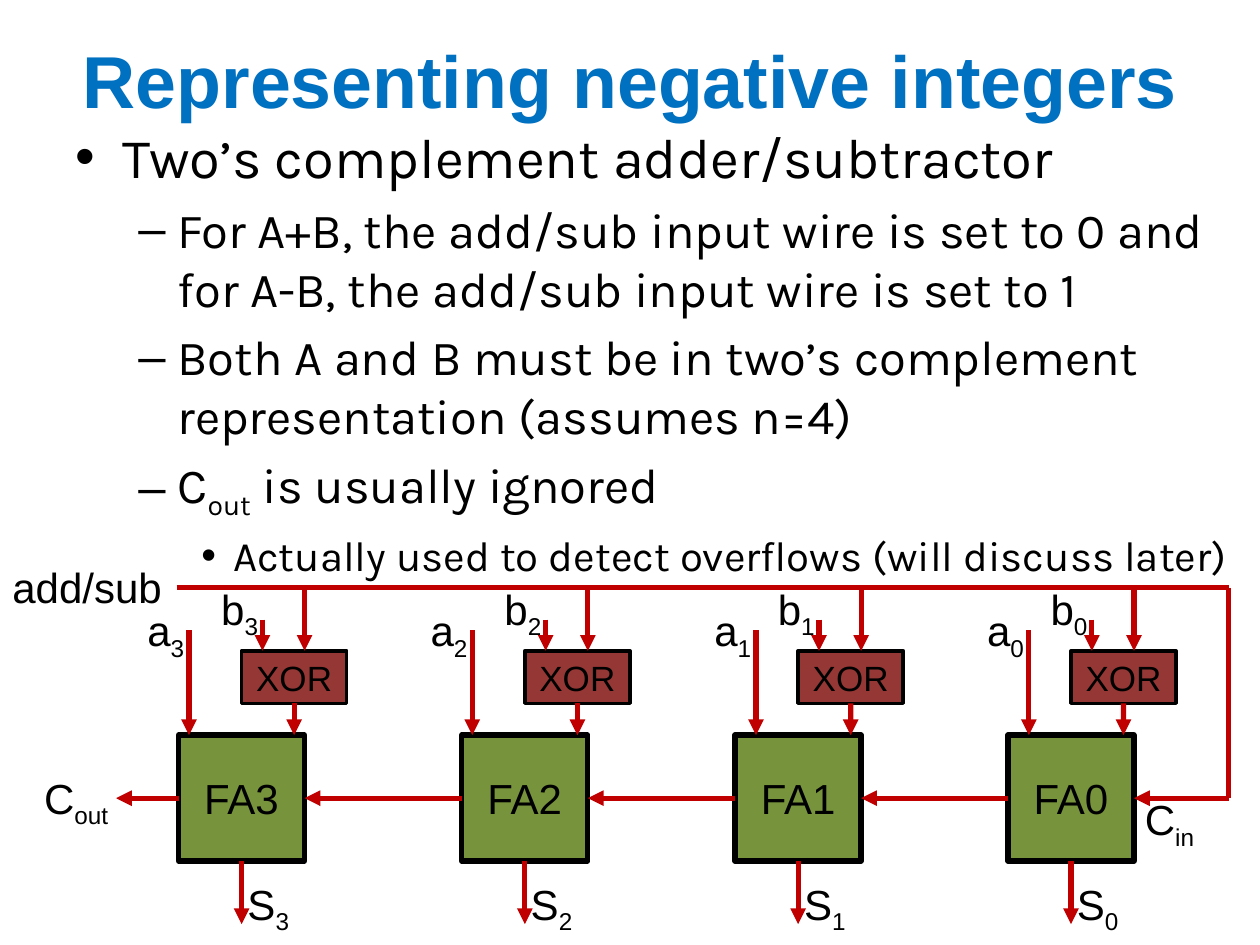
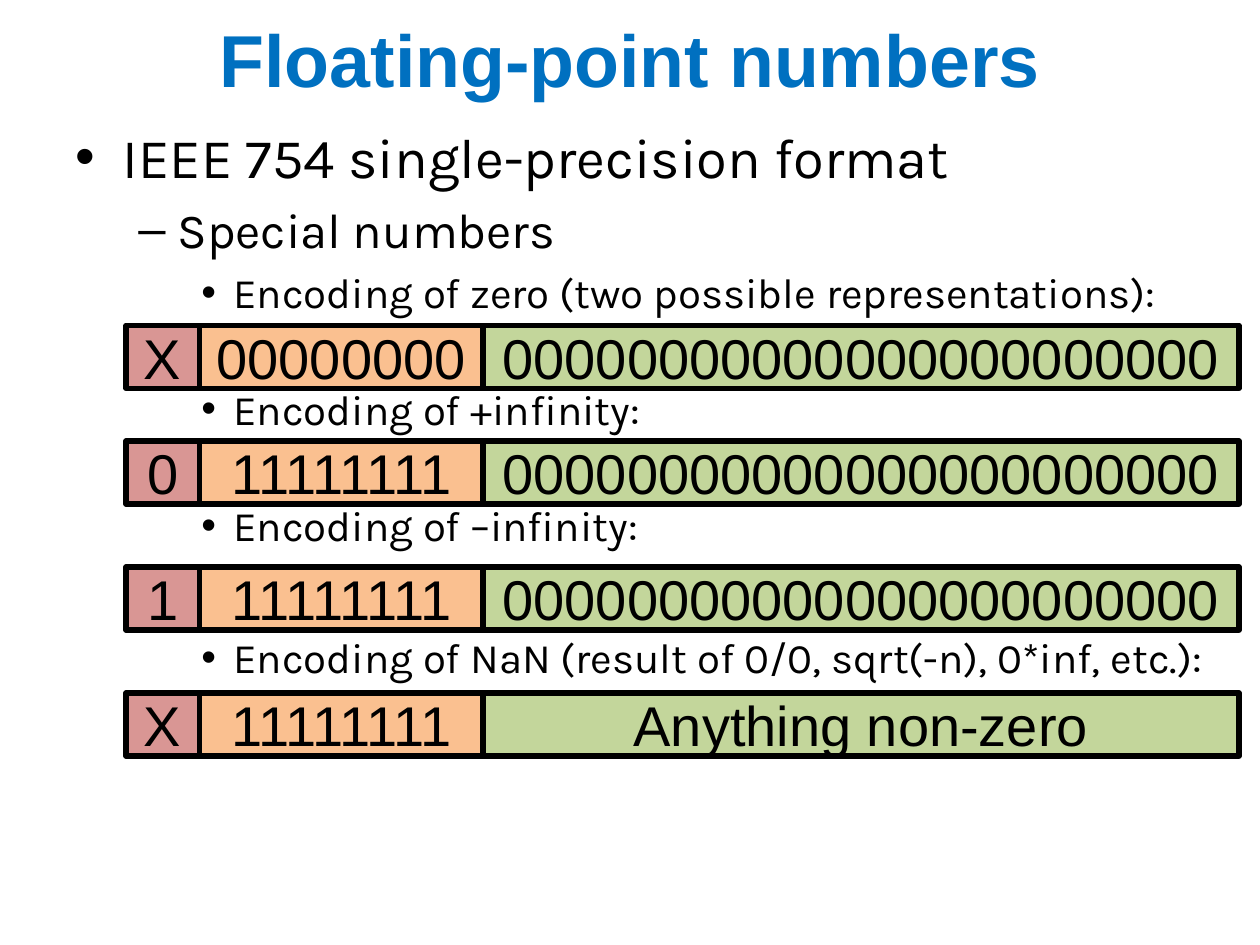
from lxml import etree
from pptx import Presentation
from pptx.dml.color import RGBColor
from pptx.enum.shapes import MSO_CONNECTOR, MSO_SHAPE
from pptx.enum.text import MSO_ANCHOR, MSO_AUTO_SIZE, PP_ALIGN
from pptx.oxml.ns import qn
from pptx.util import Cm, Pt

STRAIGHT = MSO_CONNECTOR.STRAIGHT
RECTANGLE = MSO_SHAPE.RECTANGLE
MIDDLE = MSO_ANCHOR.MIDDLE
CENTER = PP_ALIGN.CENTER
GROW = MSO_AUTO_SIZE.SHAPE_TO_FIT_TEXT
BOTTOM, LEFT, RIGHT = 2, 1, 3  # connection sites

rgb = RGBColor.from_string
BLACK, TITLE_BLUE, WIRE_RED = "000000", "0070C0", "C00000"
ADDER_GREEN, XOR_RED = "77933C", "953735"
SIGN_PINK, EXPONENT_ORANGE, FRACTION_GREEN = "D99694", "FAC090", "C3D69B"
LABEL_FONT, BODY_FONT = "Arial", "Karla"

# Per outline level: text size, left margin, hanging indent, bullet
LEVELS = [(32, 0.95, 0.95, "•"), (28, 2.06, 0.79, "–"), (24, 3.18, 0.64, "•")]


def add_text(slide, box, lines, size=24, font=LABEL_FONT, color=BLACK, bold=False,
             fill=None, outline=3, centered=False, wrap=True):
    """Add text, in a filled rectangle if fill is given.

    Each line is a list of strings; every second string is a subscript.
    """
    place = [Cm(length) for length in box]
    if fill:
        shape = slide.shapes.add_shape(RECTANGLE, *place)
        shape.shadow.inherit = False
        shape.fill.solid()
        shape.fill.fore_color.rgb = rgb(fill)
        shape.line.color.rgb = rgb(BLACK)
        shape.line.width = Pt(outline)
    else:
        shape = slide.shapes.add_textbox(*place)
    frame = shape.text_frame
    frame.word_wrap = wrap
    if not wrap:
        frame.auto_size = GROW
    if centered:
        frame.vertical_anchor = MIDDLE
    for number, parts in enumerate(lines):
        paragraph = frame.add_paragraph() if number else frame.paragraphs[0]
        if centered:
            paragraph.alignment = CENTER
        for position, part in enumerate(parts):
            run = paragraph.add_run()
            run.text = part
            run.font.size = Pt(size)
            run.font.name = font
            run.font.bold = bold
            run.font.color.rgb = rgb(color)
            if position % 2:
                run.font._element.set("baseline", "-25000")
    return shape


def add_wire(slide, x1, y1, x2, y2, arrow=True):
    wire = slide.shapes.add_connector(STRAIGHT, Cm(x1), Cm(y1), Cm(x2), Cm(y2))
    wire.line.color.rgb = rgb(WIRE_RED)
    wire.line.width = Pt(3)
    if arrow:
        etree.SubElement(wire.line._get_or_add_ln(), qn("a:tailEnd"), type="triangle")
    etree.SubElement(wire._element.spPr, qn("a:effectLst"))
    return wire


prs = Presentation()
prs.slide_width, prs.slide_height = Cm(25.4), Cm(19.05)

# Title, title height, and outline as (level, parts, points left for a bit row above)
contents = [
    ("Representing negative integers", 3.18, [
        (0, ["Two’s complement adder/subtractor"], 0),
        (1, ["For A+B, the add/sub input wire is set to 0 and for A-B, "
             "the add/sub input wire is set to 1"], 0),
        (1, ["Both A and B must be in two’s complement representation (assumes n=4)"], 0),
        (1, ["C", "out", " is usually ignored"], 0),
        (2, ["Actually used to detect overflows (will discuss later)"], 0),
    ]),
    ("Floating-point numbers", 2.34, [
        (0, ["IEEE 754 single-precision format"], 0),
        (1, ["Special numbers"], 0),
        (2, ["Encoding of zero (two possible representations):"], 0),
        (2, ["Encoding of +infinity:"], 33),
        (2, ["Encoding of –infinity:"], 33),
        (2, ["Encoding of NaN (result of 0/0, sqrt(-n), 0*inf, etc.):"], 42),
    ]),
]
for title, title_height, outline in contents:
    slide = prs.slides.add_slide(prs.slide_layouts[6])
    add_text(slide, (0, 0, 25.4, title_height), [[title]], 42, color=TITLE_BLUE,
             bold=True, centered=True)
    body = add_text(slide, (1.27, 2.34, 24.13, 16.71), [parts for _, parts, _ in outline],
                    font=BODY_FONT)
    for paragraph, (level, _, row_room) in zip(body.text_frame.paragraphs, outline):
        size, margin, hanging, bullet = LEVELS[level]
        for run in paragraph.runs:
            run.font.size = Pt(size)
        paragraph.level = level
        paragraph.space_before = Pt(0.2 * size + row_room)
        properties = paragraph._p.get_or_add_pPr()
        properties.set("marL", str(Cm(margin)))
        properties.set("indent", str(-Cm(hanging)))
        etree.SubElement(properties, qn("a:buFont"), typeface=LABEL_FONT)
        etree.SubElement(properties, qn("a:buChar"), char=bullet)

adder_slide, float_slide = prs.slides

# Ripple-carry adder: one stage per bit, from the highest down
ADDER_SIDE, ADDER_TOP = 2.54, 14.82
XOR_TOP, XOR_WIDTH, XOR_HEIGHT = 13.12, 2.12, 1.06
BUS_Y, BUS_RIGHT = 11.85, 24.77
carry_y = ADDER_TOP + ADDER_SIDE / 2
adder_bottom = ADDER_TOP + ADDER_SIDE

add_wire(adder_slide, 3.56, BUS_Y, BUS_RIGHT, BUS_Y, arrow=False)
add_wire(adder_slide, BUS_RIGHT, BUS_Y, BUS_RIGHT, carry_y, arrow=False)

# Bit, left side of the adder, offset of input a
stages = [("3", 3.6, 0.21), ("2", 9.31, 0.21), ("1", 14.82, 0.42), ("0", 20.32, 0.42)]
carry_end, higher_adder = 2.34, None
for bit, left, a_offset in stages:
    a_x, b_x, mode_x = left + a_offset, left + 1.69, left + ADDER_SIDE
    sum_x, xor_left = left + ADDER_SIDE / 2, left + 1.27
    xor_x = xor_left + XOR_WIDTH / 2
    adder = add_text(adder_slide, (left, ADDER_TOP, ADDER_SIDE, ADDER_SIDE), [["FA" + bit]],
                     fill=ADDER_GREEN, centered=True)
    xor = add_text(adder_slide, (xor_left, XOR_TOP, XOR_WIDTH, XOR_HEIGHT), [["XOR"]], 20,
                   fill=XOR_RED, outline=2, centered=True)

    add_wire(adder_slide, a_x, 12.7, a_x, ADDER_TOP)
    add_wire(adder_slide, b_x, 12.49, b_x, XOR_TOP)
    add_wire(adder_slide, mode_x, BUS_Y, mode_x, XOR_TOP)
    xor_out = add_wire(adder_slide, xor_x, XOR_TOP + XOR_HEIGHT, xor_x, ADDER_TOP)
    xor_out.begin_connect(xor, BOTTOM)
    sum_out = add_wire(adder_slide, sum_x, adder_bottom, sum_x, 18.63)
    sum_out.begin_connect(adder, BOTTOM)
    carry = add_wire(adder_slide, left, carry_y, carry_end, carry_y)
    carry.begin_connect(adder, LEFT)
    if higher_adder:
        carry.end_connect(higher_adder, RIGHT)
    carry_end, higher_adder = left + ADDER_SIDE, adder

    for signal, label_left, label_top, width in [("a", a_x - 1.09, 12.07, 1.3),
                                                 ("b", left + 0.61, 11.63, 1.3),
                                                 ("S", left + 1.14, 17.58, 1.4)]:
        add_text(adder_slide, (label_left, label_top, width, 1.27), [[signal, bit]], wrap=False)

carry_in = add_wire(adder_slide, BUS_RIGHT, carry_y, carry_end, carry_y)
carry_in.end_connect(higher_adder, RIGHT)
for parts, left, top, width in [(["add/sub"], 0, 11.2, 3.56),
                                (["C", "out"], 0.64, 15.44, 1.93),
                                (["C", "in"], 22.83, 15.88, 1.57)]:
    add_text(adder_slide, (left, top, width, 1.27), [parts], wrap=False)

# Bit rows: sign, exponent, fraction
FIELDS = [(1.48, SIGN_PINK), (5.72, EXPONENT_ORANGE), (15.24, FRACTION_GREEN)]
ZEROS, ONES, ZERO_FRACTION = "0" * 8, "1" * 8, "0" * 23
encodings = [
    (6.56, "X", ZEROS, ZERO_FRACTION),
    (8.89, "0", ONES, ZERO_FRACTION),
    (11.43, "1", ONES, ZERO_FRACTION),
    (13.97, "X", ONES, "Anything non-zero"),
]
for top, *bit_groups in encodings:
    left = 2.54
    for bits, (width, fill) in zip(bit_groups, FIELDS):
        add_text(float_slide, (left, top, width, 1.27), [[bits]], 32, fill=fill, centered=True)
        left += width

prs.save("out.pptx")
